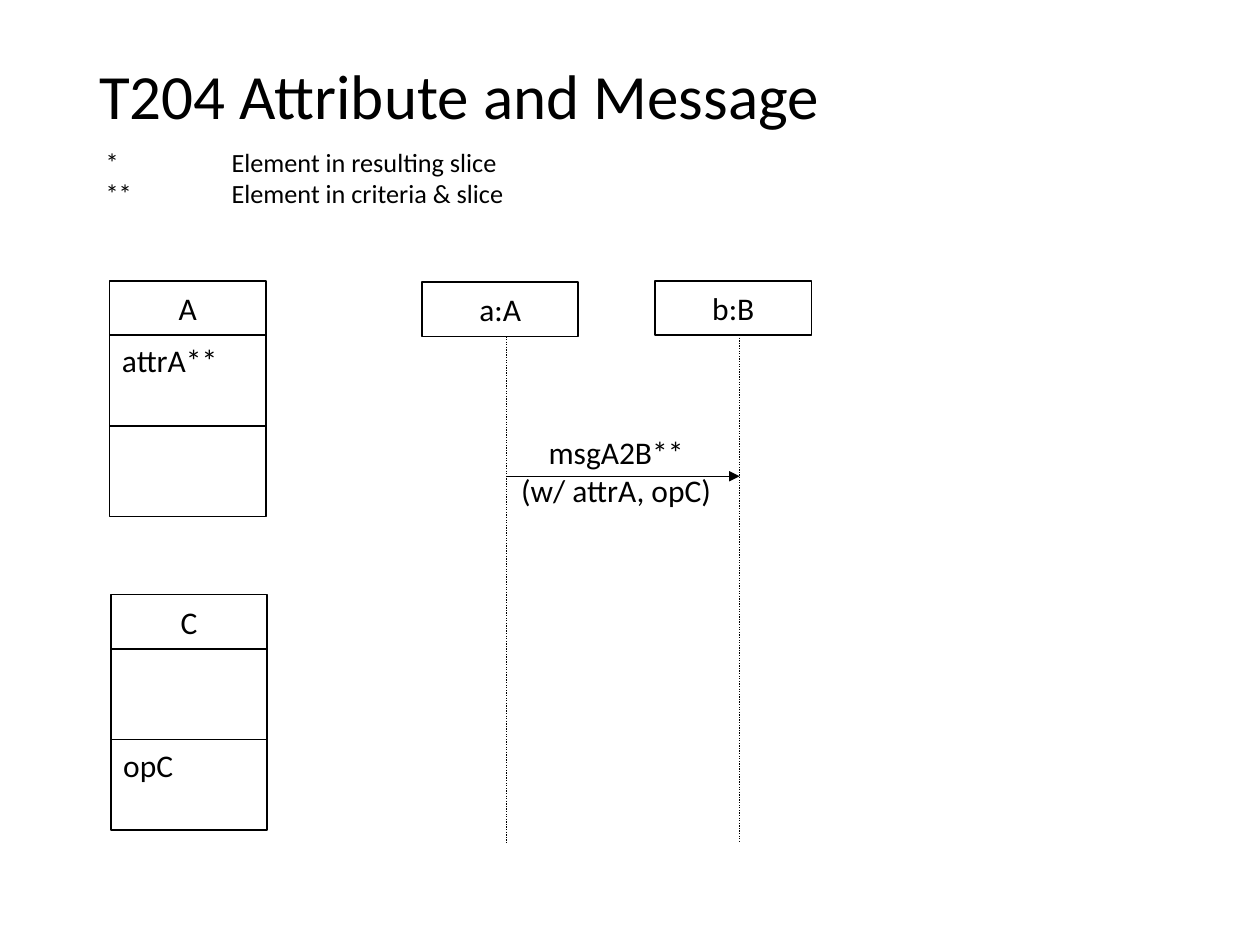
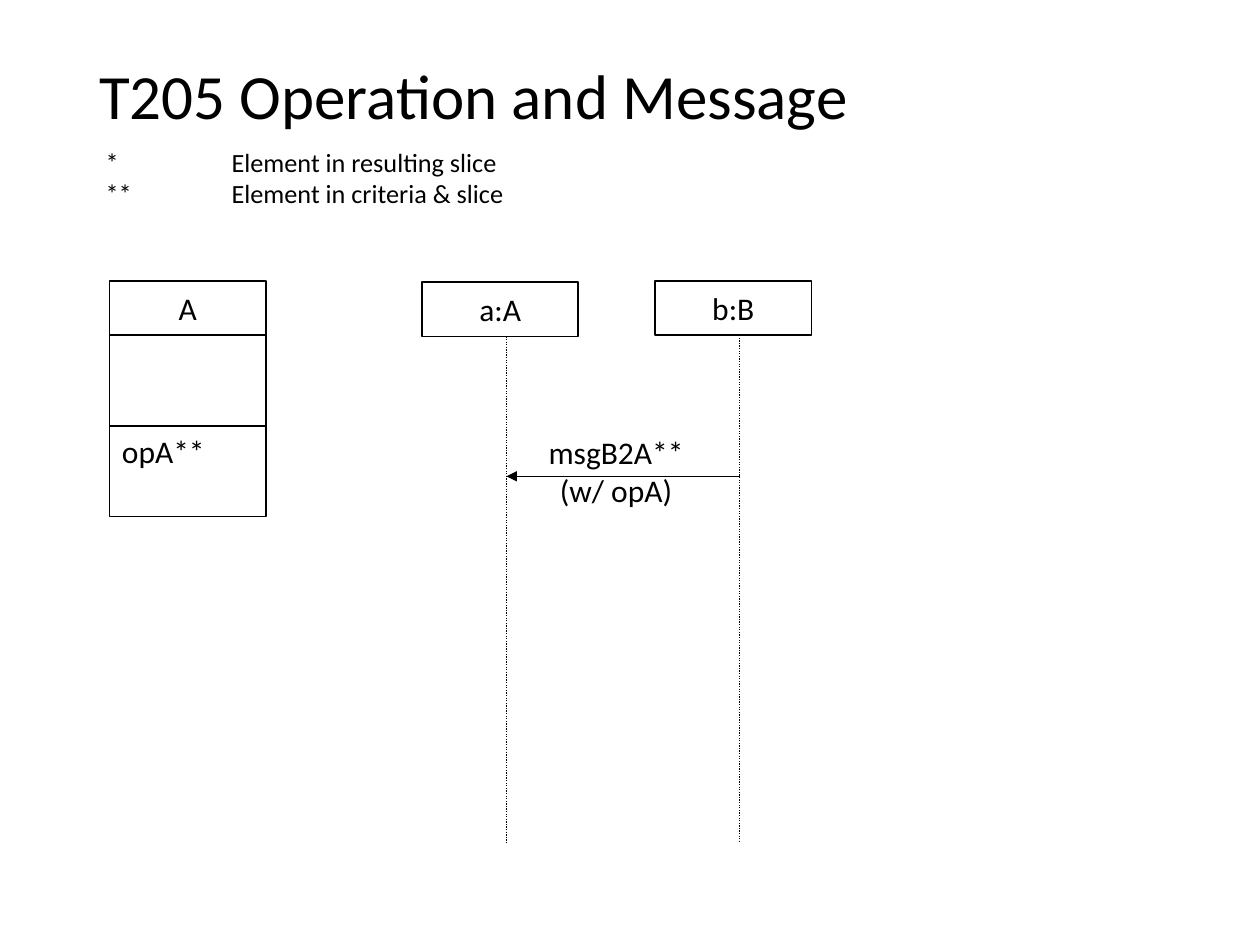
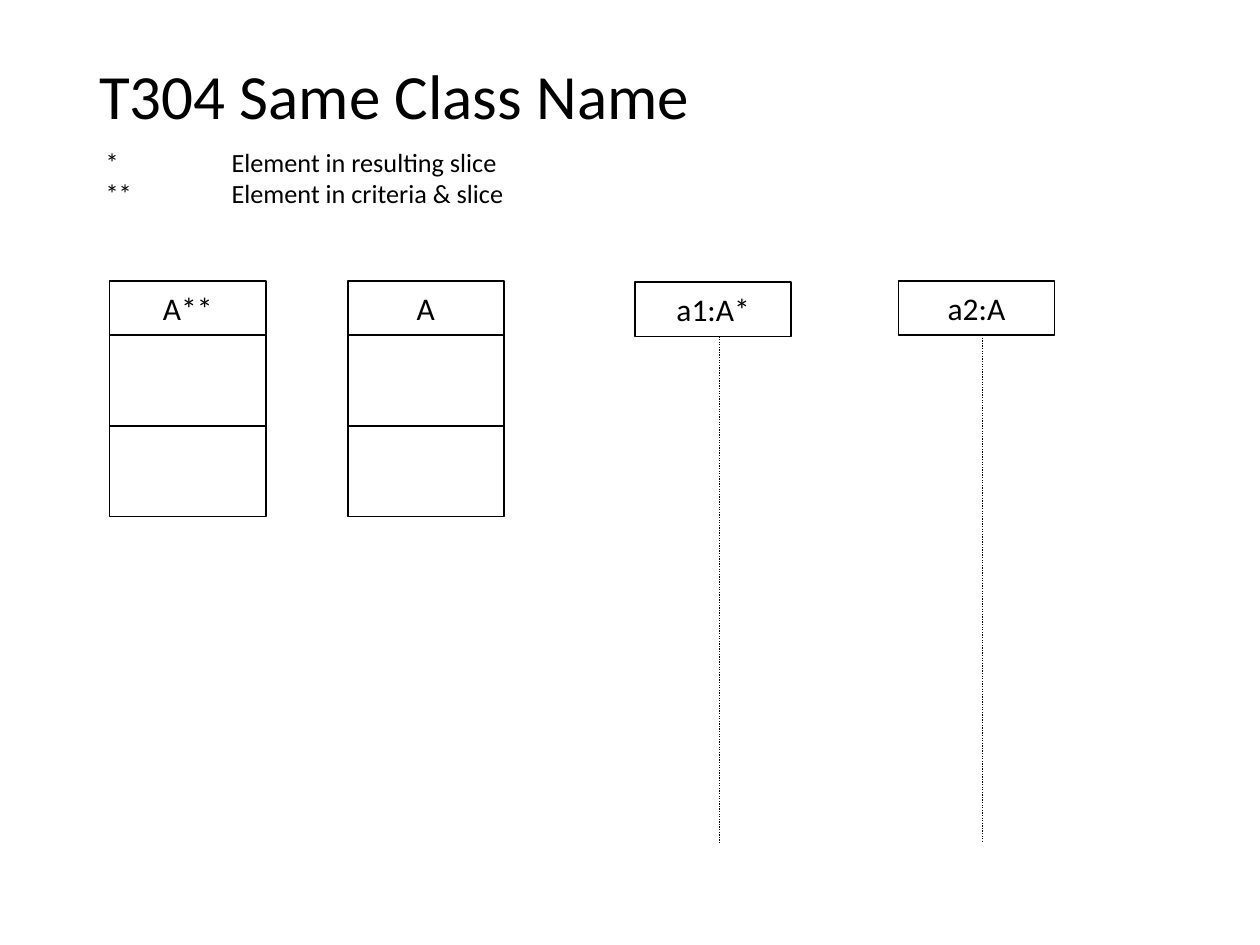
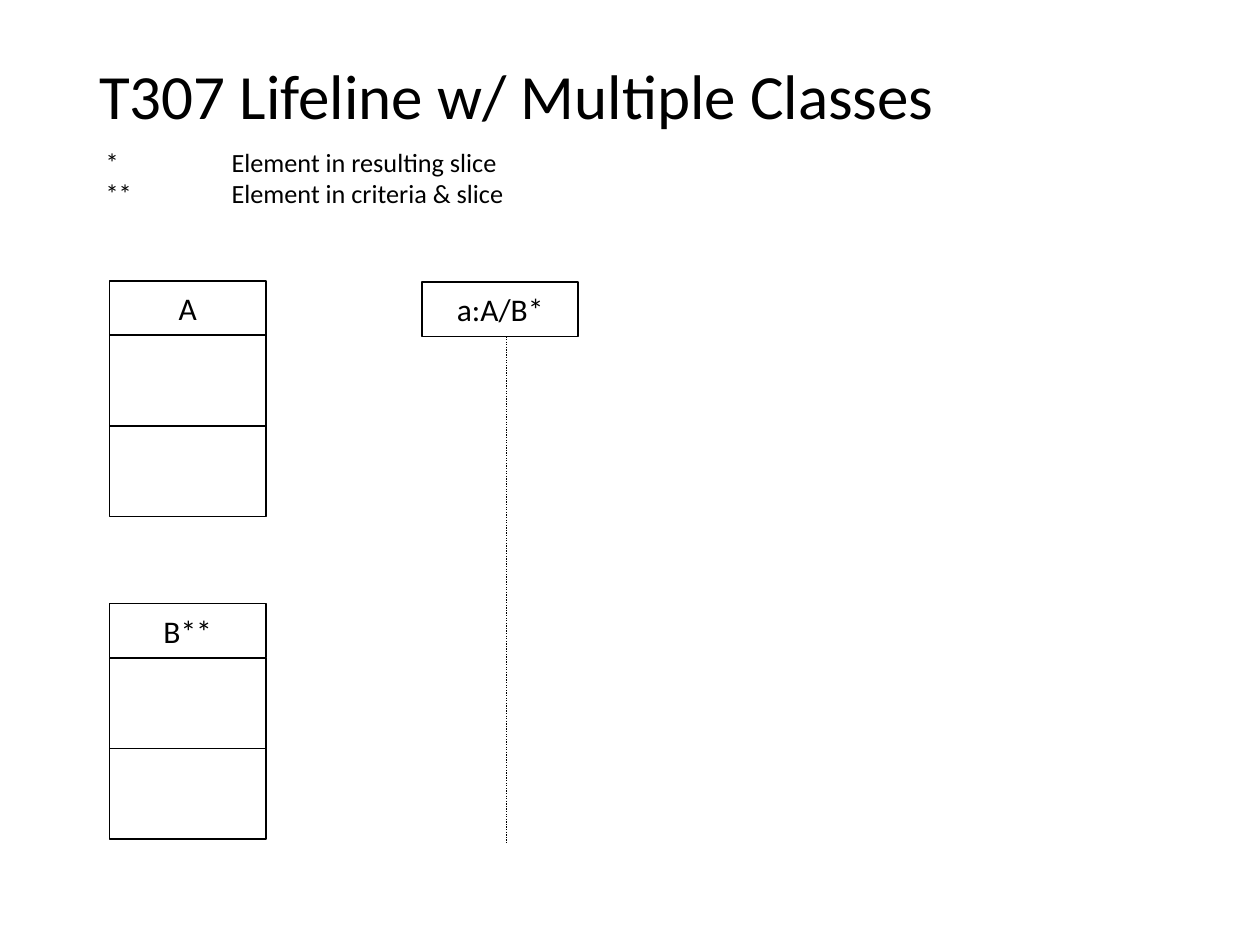
from lxml.etree import SubElement
from pptx import Presentation
from pptx.dml.color import RGBColor
from pptx.enum.dml import MSO_LINE
from pptx.enum.shapes import MSO_CONNECTOR, MSO_SHAPE
from pptx.enum.text import MSO_ANCHOR, PP_ALIGN
from pptx.oxml.ns import qn
from pptx.util import Inches, Pt

FONT = "Calibri"
BLACK, WHITE = "000000", "FFFFFF"
BOX_WIDTH, HEAD_HEIGHT, SECTION_HEIGHT = 1.24, 0.43, 0.72
CLASS_LEFT, CLASS_TOP = 0.87, 2.23
LIFELINE_OFFSET, LIFELINE_BOTTOM = 0.67, 6.69
LEGEND = ["*\tElement in resulting slice", "**\tElement in criteria & slice"]


def color(value):
    return RGBColor.from_string(value)


def write_text(shape, lines, size=18, align=PP_ALIGN.LEFT, anchor=MSO_ANCHOR.TOP,
               spacing=None, tab=None):
    """Fill a shape with one paragraph per line."""
    frame = shape.text_frame
    frame.word_wrap = True
    frame.vertical_anchor = anchor
    for index, line in enumerate(lines):
        paragraph = frame.add_paragraph() if index else frame.paragraphs[0]
        paragraph.text = line
        paragraph.alignment = align
        if spacing:
            paragraph.line_spacing = spacing
        if tab:
            tab_list = SubElement(paragraph._p.get_or_add_pPr(), qn("a:tabLst"))
            SubElement(tab_list, qn("a:tab"), pos=str(Inches(tab)), algn="l")
        paragraph.font.name = FONT
        paragraph.font.size = Pt(size)
        paragraph.font.color.rgb = color(BLACK)


def add_text(slide, box, lines, **text_format):
    shape = slide.shapes.add_textbox(*(Inches(length) for length in box))
    write_text(shape, lines, **text_format)


def add_box(slide, left, top, height, text="", **text_format):
    shape = slide.shapes.add_shape(MSO_SHAPE.RECTANGLE, Inches(left), Inches(top),
                                   Inches(BOX_WIDTH), Inches(height))
    shape.shadow.inherit = False
    shape.fill.solid()
    shape.fill.fore_color.rgb = color(WHITE)
    shape.line.color.rgb = color(BLACK)
    shape.line.width = Pt(0.94)
    if text:
        write_text(shape, [text], **text_format)


def add_head(slide, left, top, name):
    add_box(slide, left, top, HEAD_HEIGHT, name,
            align=PP_ALIGN.CENTER, anchor=MSO_ANCHOR.MIDDLE)


def add_line(slide, start, end, dash=None, arrow=None):
    """Draw a thin line; arrow is "headEnd" (start) or "tailEnd" (end)."""
    line = slide.shapes.add_connector(
        MSO_CONNECTOR.STRAIGHT, *(Inches(length) for length in (*start, *end)))
    line.line.color.rgb = color(BLACK)
    line.line.width = Pt(0.75)
    if dash:
        line.line.dash_style = dash
    if arrow:
        SubElement(line.line._get_or_add_ln(), qn(f"a:{arrow}"), type="triangle")
    SubElement(line._element.spPr, qn("a:effectLst"))


def add_class(slide, name, attribute="", operation="", left=CLASS_LEFT, top=CLASS_TOP):
    """Class box: name, attributes, operations."""
    attribute_top = top + HEAD_HEIGHT
    add_box(slide, left, attribute_top, SECTION_HEIGHT, attribute)
    add_head(slide, left, top, name)
    add_box(slide, left, attribute_top + SECTION_HEIGHT, SECTION_HEIGHT, operation)


def add_lifeline(slide, name, left, top):
    """Object head with the dotted line below it."""
    add_head(slide, left, top, name)
    line_x = left + LIFELINE_OFFSET
    add_line(slide, (line_x, top + HEAD_HEIGHT), (line_x, LIFELINE_BOTTOM),
             dash=MSO_LINE.ROUND_DOT)


def add_message(slide, lines, arrow, left=4.02, right=5.87, y=3.78):
    """Message arrow with one label line above it and one below."""
    add_line(slide, (left, y), (right, y), arrow=arrow)
    add_text(slide, (left - 0.03, y - 0.39, 1.8, 0.7), lines, align=PP_ALIGN.CENTER)


def add_diagram_slide(presentation, title, lifelines, classes, message=None):
    slide = presentation.slides.add_slide(presentation.slide_layouts[6])
    # Legend and title
    add_text(slide, (0.74, 1.11, 4.14, 0.62), LEGEND, size=15, tab=1)
    add_text(slide, (0.69, 0.4, 8.63, 0.78), [title], size=36,
             anchor=MSO_ANCHOR.MIDDLE, spacing=0.9)
    # Sequence diagram
    for (name, left), top in zip(lifelines, (2.24, 2.23)):
        add_lifeline(slide, name, left, top)
    if message:
        add_message(slide, **message)
    # Class diagram
    for class_box in classes:
        add_class(slide, **class_box)


def main():
    presentation = Presentation()
    presentation.slide_width, presentation.slide_height = Inches(10), Inches(7.5)
    pair = [("a:A", 3.35), ("b:B", 5.2)]

    add_diagram_slide(
        presentation, "T204 Attribute and Message", pair,
        [dict(name="A", attribute="attrA**"),
         dict(name="C", operation="opC", left=0.88, top=4.72)],
        dict(lines=["msgA2B**", "(w/ attrA, opC)"], arrow="tailEnd"))
    add_diagram_slide(
        presentation, "T205 Operation and Message", pair,
        [dict(name="A", operation="opA**")],
        dict(lines=["msgB2A**", "(w/ opA)"], arrow="headEnd"))
    add_diagram_slide(
        presentation, "T304 Same Class Name", [("a1:A*", 5.04), ("a2:A", 7.13)],
        [dict(name="A**"), dict(name="A", left=2.76)])
    add_diagram_slide(
        presentation, "T307 Lifeline w/ Multiple Classes", [("a:A/B*", 3.35)],
        [dict(name="A"), dict(name="B**", top=4.79)])

    presentation.save("out.pptx")


if __name__ == "__main__":
    main()
